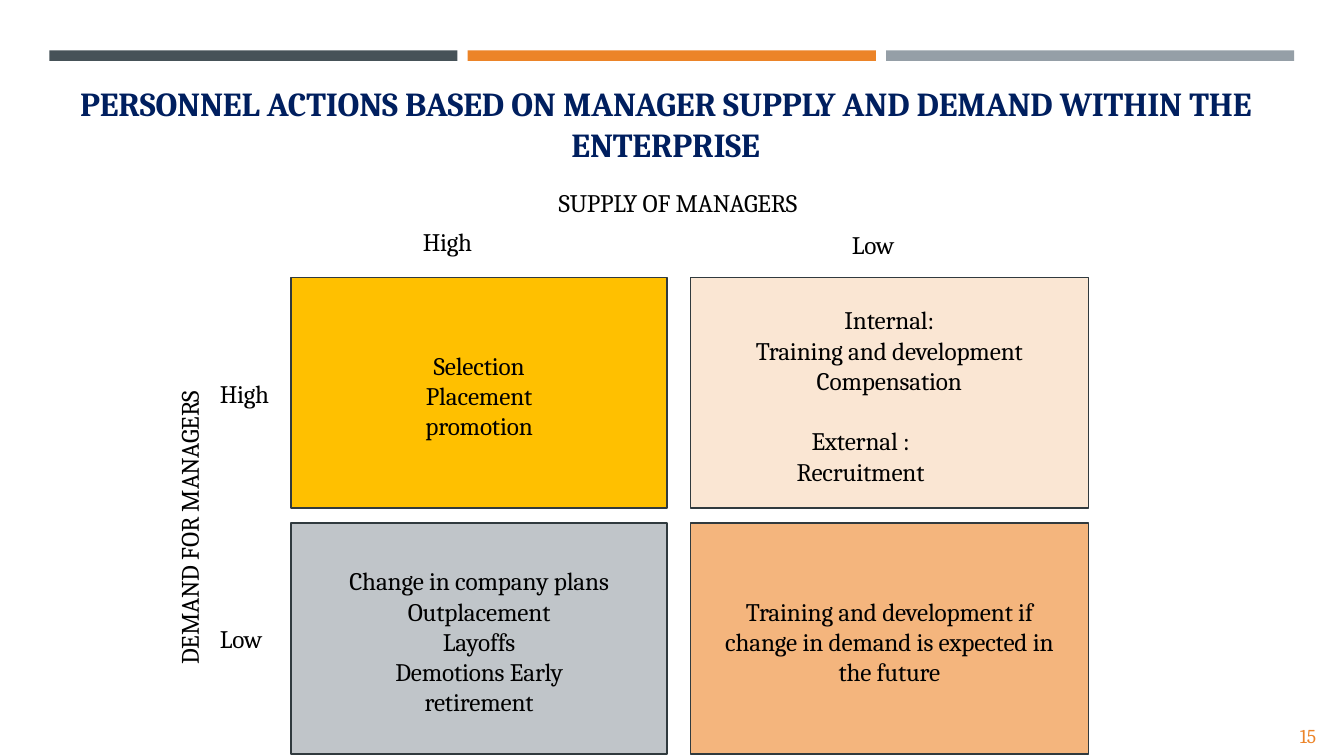
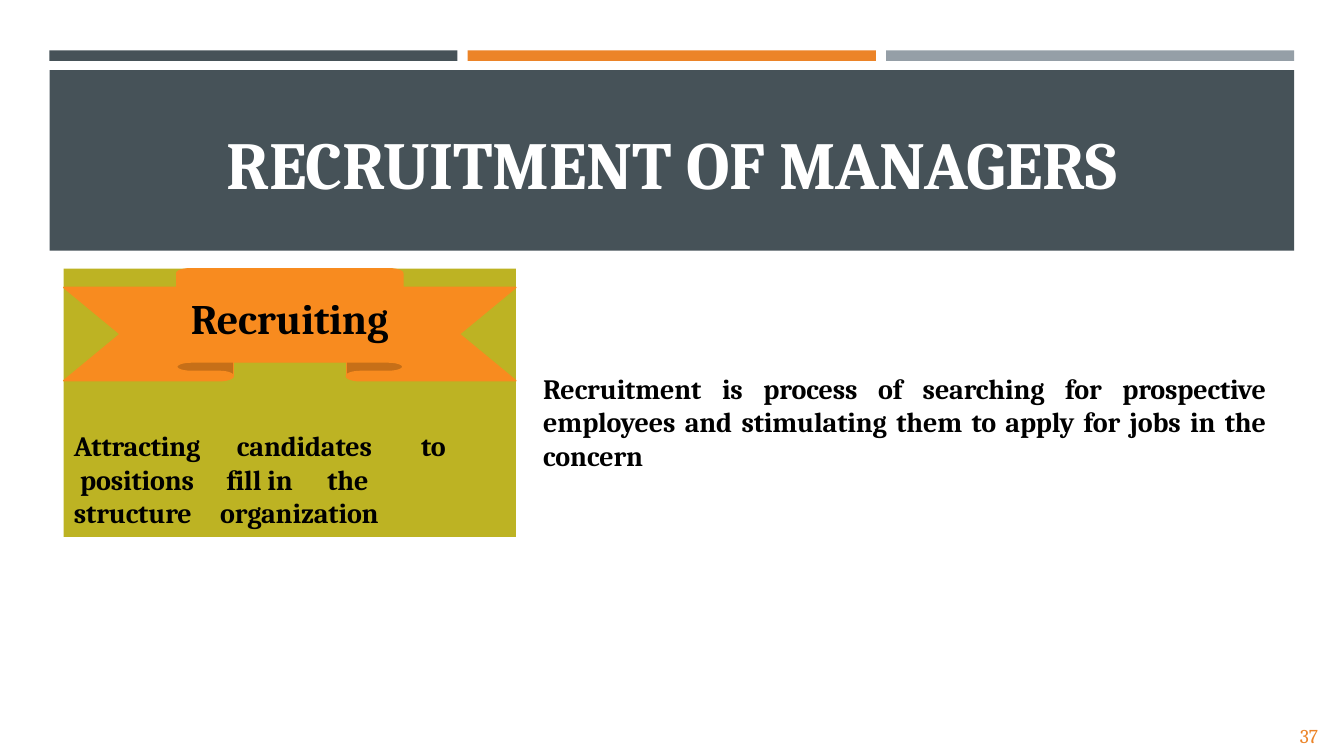
from dataclasses import dataclass

from lxml import etree
from pptx import Presentation
from pptx.dml.color import RGBColor
from pptx.enum.shapes import MSO_SHAPE
from pptx.enum.text import MSO_ANCHOR, MSO_AUTO_SIZE, PP_ALIGN
from pptx.oxml.ns import qn
from pptx.util import Pt

RECTANGLE, RIBBON = MSO_SHAPE.RECTANGLE, MSO_SHAPE.UP_RIBBON
TOP, MIDDLE = MSO_ANCHOR.TOP, MSO_ANCHOR.MIDDLE
LEFT, CENTER, JUSTIFY = PP_ALIGN.LEFT, PP_ALIGN.CENTER, PP_ALIGN.JUSTIFY
NO_AUTOFIT = MSO_AUTO_SIZE.NONE

FONT = "Cambria"
BLACK = RGBColor(0x00, 0x00, 0x00)
WHITE = RGBColor(0xFF, 0xFF, 0xFF)
NAVY = RGBColor(0x00, 0x1F, 0x5F)
SLATE = RGBColor(0x46, 0x52, 0x58)
ORANGE = RGBColor(0xEC, 0x84, 0x28)
GRAY = RGBColor(0x95, 0x9F, 0xA7)
OUTLINE = RGBColor(0x30, 0x3A, 0x3E)
GOLD = RGBColor(0xFF, 0xC0, 0x00)
CREAM = RGBColor(0xFA, 0xE6, 0xD3)
SILVER = RGBColor(0xC0, 0xC5, 0xC9)
PEACH = RGBColor(0xF4, 0xB5, 0x7D)
OLIVE = RGBColor(0xBD, 0xB3, 0x23)
RIBBON_ORANGE = RGBColor(0xF8, 0x8B, 0x1F)


@dataclass(frozen=True)
class Box:
    left: float
    top: float
    width: float
    height: float


@dataclass(frozen=True)
class Line:
    text: str
    before: float = 0
    margin_left: float = 0
    margin_right: float = 0
    tabs: tuple[float, ...] = ()


@dataclass(frozen=True)
class Label:
    text: str
    box: Box
    vertical: bool = False


@dataclass(frozen=True)
class Cell:
    column: int
    row: int
    fill: RGBColor
    lines: tuple[Line, ...]


BARS = (SLATE, ORANGE, GRAY)
COLUMNS = ((208, 268.5), (493, 284.5))
ROW_TOP, ROW_HEIGHT, ROW_STEP = 198, 165, 175.5

LABELS = (
    Label("SUPPLY OF MANAGERS", Box(399, 134, 180, 24)),
    Label("High", Box(302, 161.5, 40, 24)),
    Label("Low", Box(608.5, 163.5, 40, 24)),
    Label("High", Box(157, 270, 40, 24)),
    Label("Low", Box(157, 445.5, 40, 24)),
    Label("DEMAND FOR MANAGERS", Box(124, 270, 23, 205), vertical=True),
)

CELLS = (
    Cell(0, 0, GOLD, (Line("Selection"), Line("Placement"), Line("promotion"))),
    Cell(1, 0, CREAM, (
        Line("Internal:"),
        Line("Training and development"),
        Line("Compensation"),
        Line("External :", before=21.6, margin_right=41),
        Line("Recruitment", margin_right=41),
    )),
    Cell(0, 1, SILVER, (
        Line("Change in company plans"),
        Line("Outplacement"),
        Line("Layoffs"),
        Line("Demotions Early"),
        Line("retirement"),
    )),
    Cell(1, 1, PEACH, (
        Line("Training and development if change in demand is expected in the future"),
    )),
)

ATTRACTING = (
    Line("Attracting\tcandidates\tto", tabs=(116.5, 248)),
    Line("positions\tfill in\tthe", margin_left=4.5, tabs=(104.5, 176.5)),
    Line("structure\torganization", tabs=(104.5,)),
)


def place(shape, box: Box) -> None:
    shape.left, shape.top = Pt(box.left), Pt(box.top)
    shape.width, shape.height = Pt(box.width), Pt(box.height)


def write_text(shape, *lines: Line, size: float = 18, color: RGBColor = BLACK,
               bold: bool = False, align=LEFT, anchor=TOP, inset_top: float = 0,
               inset_side: float = 0, spacing: float = -0.1,
               vertical: bool = False) -> None:
    """Fill a shape with one paragraph for each line."""
    frame = shape.text_frame
    frame.word_wrap = True
    frame.auto_size = NO_AUTOFIT
    frame.vertical_anchor = anchor
    frame.margin_left = frame.margin_right = Pt(inset_side)
    frame.margin_top, frame.margin_bottom = Pt(inset_top), 0
    if vertical:
        frame._txBody.bodyPr.set("vert", "vert270")
    for index, line in enumerate(lines):
        paragraph = frame.add_paragraph() if index else frame.paragraphs[0]
        properties = paragraph._p.get_or_add_pPr()
        properties.set("marL", str(Pt(line.margin_left)))
        properties.set("marR", str(Pt(line.margin_right)))
        if line.tabs:
            tab_list = etree.SubElement(properties, qn("a:tabLst"))
            for position in line.tabs:
                etree.SubElement(tab_list, qn("a:tab"), pos=str(Pt(position)), algn="l")
        paragraph.alignment = align
        paragraph.space_before = Pt(line.before)
        run = paragraph.add_run()
        run.text = line.text
        run.font.name, run.font.size, run.font.bold = FONT, Pt(size), bold
        run.font.color.rgb = color
        run._r.get_or_add_rPr().set("spc", str(round(spacing * 100)))


def add_panel(slide, box: Box, fill: RGBColor, line: RGBColor | None = None,
              kind=RECTANGLE):
    shape = slide.shapes.add_shape(
        kind, Pt(box.left), Pt(box.top), Pt(box.width), Pt(box.height))
    shape.shadow.inherit = False
    shape.fill.solid()
    shape.fill.fore_color.rgb = fill
    if line is None:
        shape.line.fill.background()
    else:
        shape.line.color.rgb = line
        shape.line.width = Pt(1)
    return shape


def add_text(slide, box: Box, *lines: Line, **text_format) -> None:
    shape = slide.shapes.add_textbox(
        Pt(box.left), Pt(box.top), Pt(box.width), Pt(box.height))
    write_text(shape, *lines, **text_format)


def add_slide(presentation, title: str, title_box: Box, number: int, **title_format):
    """Start a slide with the shared bars, title style and page number."""
    slide = presentation.slides.add_slide(presentation.slide_layouts[5])
    for index, color in enumerate(BARS):
        add_panel(slide, Box(35.3 + index * 298.8, 36, 291.5, 7.5), color)
    place(slide.shapes.title, title_box)
    write_text(slide.shapes.title, Line(title), bold=True, align=CENTER, **title_format)
    add_text(slide, Box(928.5, 517, 22, 19), Line(str(number)),
             size=14, color=ORANGE, spacing=0)
    return slide


def build_matrix(presentation) -> None:
    slide = add_slide(
        presentation,
        "PERSONNEL ACTIONS BASED ON MANAGER SUPPLY AND DEMAND WITHIN THE ENTERPRISE",
        Box(42.5, 57.5, 866, 60), 15, size=24, color=NAVY, inset_top=2)
    # Axis labels
    for label in LABELS:
        add_text(slide, label.box, Line(label.text), vertical=label.vertical)
    # Two-by-two grid of actions
    for cell in CELLS:
        left, width = COLUMNS[cell.column]
        box = Box(left, ROW_TOP + cell.row * ROW_STEP, width, ROW_HEIGHT)
        write_text(add_panel(slide, box, cell.fill, OUTLINE), *cell.lines,
                   align=CENTER, anchor=MIDDLE, inset_top=4, inset_side=18)


def build_recruitment(presentation) -> None:
    slide = add_slide(presentation, "RECRUITMENT OF MANAGERS",
                      Box(35.5, 50, 889, 129), 37, size=48, color=WHITE,
                      anchor=MIDDLE, inset_top=4, spacing=-0.2)
    title = slide.shapes.title
    title.fill.solid()
    title.fill.fore_color.rgb = SLATE
    # Card with ribbon
    add_panel(slide, Box(45.5, 192, 323, 191.5), OLIVE)
    ribbon = add_panel(slide, Box(45.5, 192, 323, 80), RIBBON_ORANGE,
                       RIBBON_ORANGE, RIBBON)
    write_text(ribbon, Line("Recruiting"), size=30, bold=True,
               align=CENTER, anchor=MIDDLE, inset_top=4)
    add_text(slide, Box(52.8, 306, 310, 74), *ATTRACTING, size=20, bold=True)
    # Definition
    add_text(slide, Box(388, 265, 516, 74),
             Line("Recruitment is process of searching for prospective employees and "
                  "stimulating them to apply for jobs in the concern"),
             size=20, bold=True, align=JUSTIFY)


def main() -> None:
    presentation = Presentation()
    presentation.slide_width, presentation.slide_height = Pt(960), Pt(540)
    build_matrix(presentation)
    build_recruitment(presentation)
    presentation.save("out.pptx")


if __name__ == "__main__":
    main()
